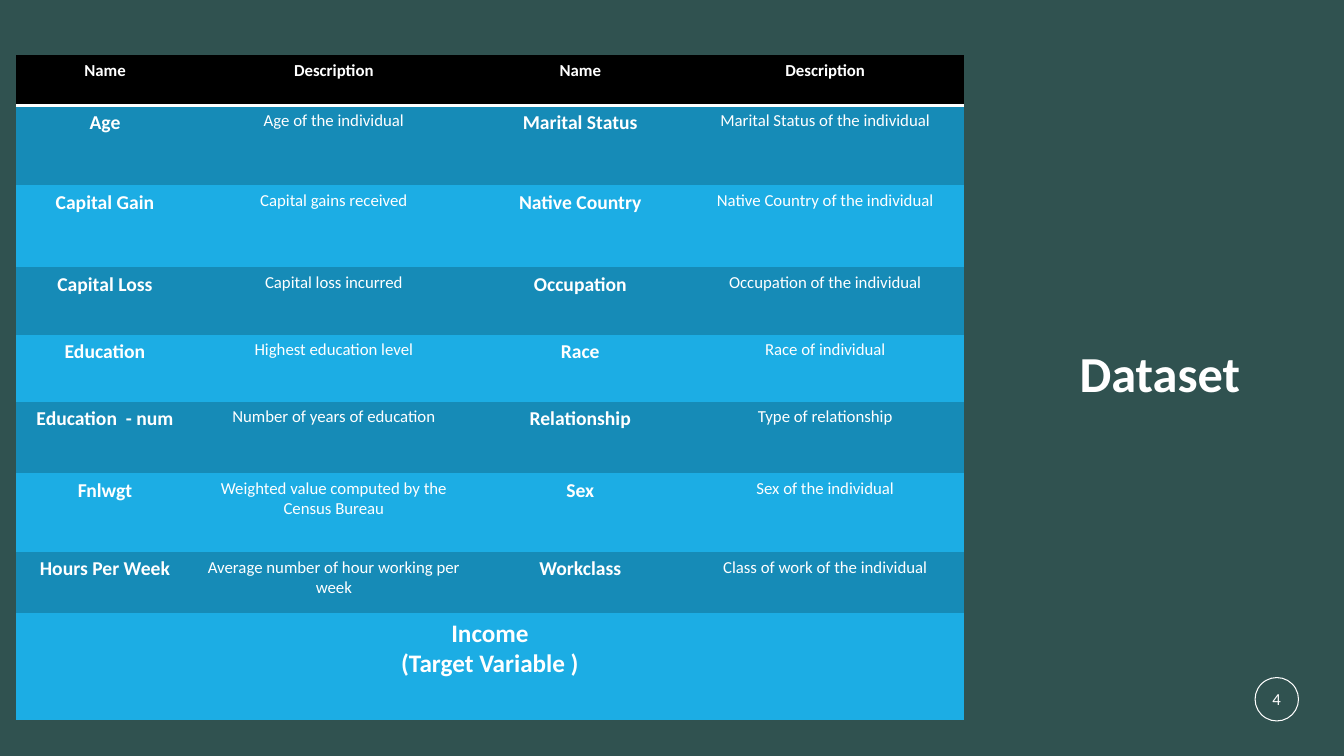
"""Builds the Dataset slide: a table of variables beside its title."""
from dataclasses import dataclass

from lxml.etree import SubElement
from pptx import Presentation
from pptx.dml.color import RGBColor
from pptx.enum.shapes import MSO_SHAPE
from pptx.enum.text import MSO_ANCHOR, MSO_AUTO_SIZE, PP_ALIGN
from pptx.oxml import parse_xml
from pptx.oxml.ns import nsdecls, qn
from pptx.util import Pt


@dataclass(frozen=True)
class Theme:
    font: str = "Calibri"
    background: str = "305250"
    text: str = "FFFFFF"
    header: str = "000000"
    bands: tuple = ("168BB7", "1CADE4")
    title_size: int = 36
    target_size: int = 18
    name_size: int = 14
    body_size: int = 12
    header_rule: int = 2
    circle_line: float = 0.75
    plain_table: str = "{2D5ABB26-0587-4C30-8999-92F81FD0307C}"


COLUMN_WIDTHS = (127, 200, 152, 198)
ROW_HEIGHTS = (36, 57, 58.5, 48, 48, 51.25, 56.25, 43.5, 76.25)
HEADER = ("Name", "Description") * 2
VARIABLES = (
    ("Age", "Age of the individual", "Marital Status", "Marital Status of the individual"),
    ("Capital Gain", "Capital gains received", "Native Country", "Native Country of the individual"),
    ("Capital Loss", "Capital loss incurred", "Occupation", "Occupation of the individual"),
    ("Education", "Highest education level", "Race", "Race of individual"),
    ("Education  - num", "Number of years of education", "Relationship", "Type of relationship"),
    ("Fnlwgt", "Weighted value computed by the Census Bureau", "Sex", "Sex of the individual"),
    ("Hours Per Week", "Average number of hour working per week", "Workclass",
     "Class of work of the individual"),
)
TARGET = ("Income", "(Target Variable )")


class SlideBuilder:
    def __init__(self, slide, theme):
        self.slide = slide
        self.theme = theme

    def background(self):
        fill = self.slide.background.fill
        fill.solid()
        fill.fore_color.rgb = RGBColor.from_string(self.theme.background)

    def add_lines(self, text_frame, lines, size, bold=False):
        for index, line in enumerate(lines):
            paragraph = text_frame.add_paragraph() if index else text_frame.paragraphs[0]
            paragraph.alignment = PP_ALIGN.CENTER
            run = paragraph.add_run()
            run.text = line
            run.font.name = self.theme.font
            run.font.size = Pt(size)
            run.font.bold = bold
            run.font.color.rgb = RGBColor.from_string(self.theme.text)

    def set_frame(self, text_frame, side, edge):
        text_frame.word_wrap = True
        text_frame.auto_size = MSO_AUTO_SIZE.NONE
        text_frame.vertical_anchor = MSO_ANCHOR.MIDDLE
        text_frame.margin_left = text_frame.margin_right = Pt(side)
        text_frame.margin_top = text_frame.margin_bottom = Pt(edge)

    def title(self, text, left, top, width, height):
        title = self.slide.shapes.title
        title.left, title.top, title.width, title.height = map(Pt, (left, top, width, height))
        title.fill.solid()
        title.fill.fore_color.rgb = RGBColor.from_string(self.theme.background)
        self.set_frame(title.text_frame, 14.4, 3.6)
        self.add_lines(title.text_frame, [text], self.theme.title_size, bold=True)

    def page_number(self, text, left, top, diameter):
        circle = self.slide.shapes.add_shape(
            MSO_SHAPE.OVAL, Pt(left), Pt(top), Pt(diameter), Pt(diameter))
        circle.shadow.inherit = False
        circle.fill.background()
        circle.line.color.rgb = RGBColor.from_string(self.theme.text)
        circle.line.width = Pt(self.theme.circle_line)
        self.set_frame(circle.text_frame, 0, 0)
        self.add_lines(circle.text_frame, [text], self.theme.body_size)

    def fill_cell(self, cell, lines, color, size, bold):
        cell.fill.solid()
        cell.fill.fore_color.rgb = RGBColor.from_string(color)
        self.add_lines(cell.text_frame, lines, size, bold)

    def rule_below(self, cell):
        border = parse_xml(f'<a:lnB {nsdecls("a")} w="{Pt(self.theme.header_rule)}"/>')
        fill = SubElement(border, qn("a:solidFill"))
        SubElement(fill, qn("a:srgbClr"), val=self.theme.text)
        cell._tc.get_or_add_tcPr().insert(0, border)

    def table(self, left, top):
        theme = self.theme
        frame = self.slide.shapes.add_table(
            len(ROW_HEIGHTS), len(COLUMN_WIDTHS), Pt(left), Pt(top),
            Pt(sum(COLUMN_WIDTHS)), Pt(sum(ROW_HEIGHTS)))
        table = frame.table
        table.horz_banding = False
        table._tbl.tblPr.find(qn("a:tableStyleId")).text = theme.plain_table
        for column, width in zip(table.columns, COLUMN_WIDTHS):
            column.width = Pt(width)
        for row, height in zip(table.rows, ROW_HEIGHTS):
            row.height = Pt(height)
        for cell, text in zip(table.rows[0].cells, HEADER):
            self.fill_cell(cell, [text], theme.header, theme.body_size, True)
            self.rule_below(cell)
        for index, variables in enumerate(VARIABLES):
            for column, text in enumerate(variables):
                is_name = column % 2 == 0
                size = theme.name_size if is_name else theme.body_size
                self.fill_cell(table.cell(index + 1, column), [text],
                               theme.bands[index % 2], size, is_name)
        last_row = len(ROW_HEIGHTS) - 1
        target = table.cell(last_row, 0)
        target.merge(table.cell(last_row, len(COLUMN_WIDTHS) - 1))
        self.fill_cell(target, TARGET, theme.bands[1], theme.target_size, True)


def main():
    presentation = Presentation()
    presentation.slide_width, presentation.slide_height = Pt(960), Pt(540)
    slide = presentation.slides.add_slide(presentation.slide_layouts[5])
    builder = SlideBuilder(slide, Theme())
    builder.background()
    builder.page_number("4", 896.5, 484, 31)
    builder.table(11.5, 39.5)
    builder.title("Dataset", 708.5, 239, 240, 53.5)
    presentation.save("out.pptx")


if __name__ == "__main__":
    main()
